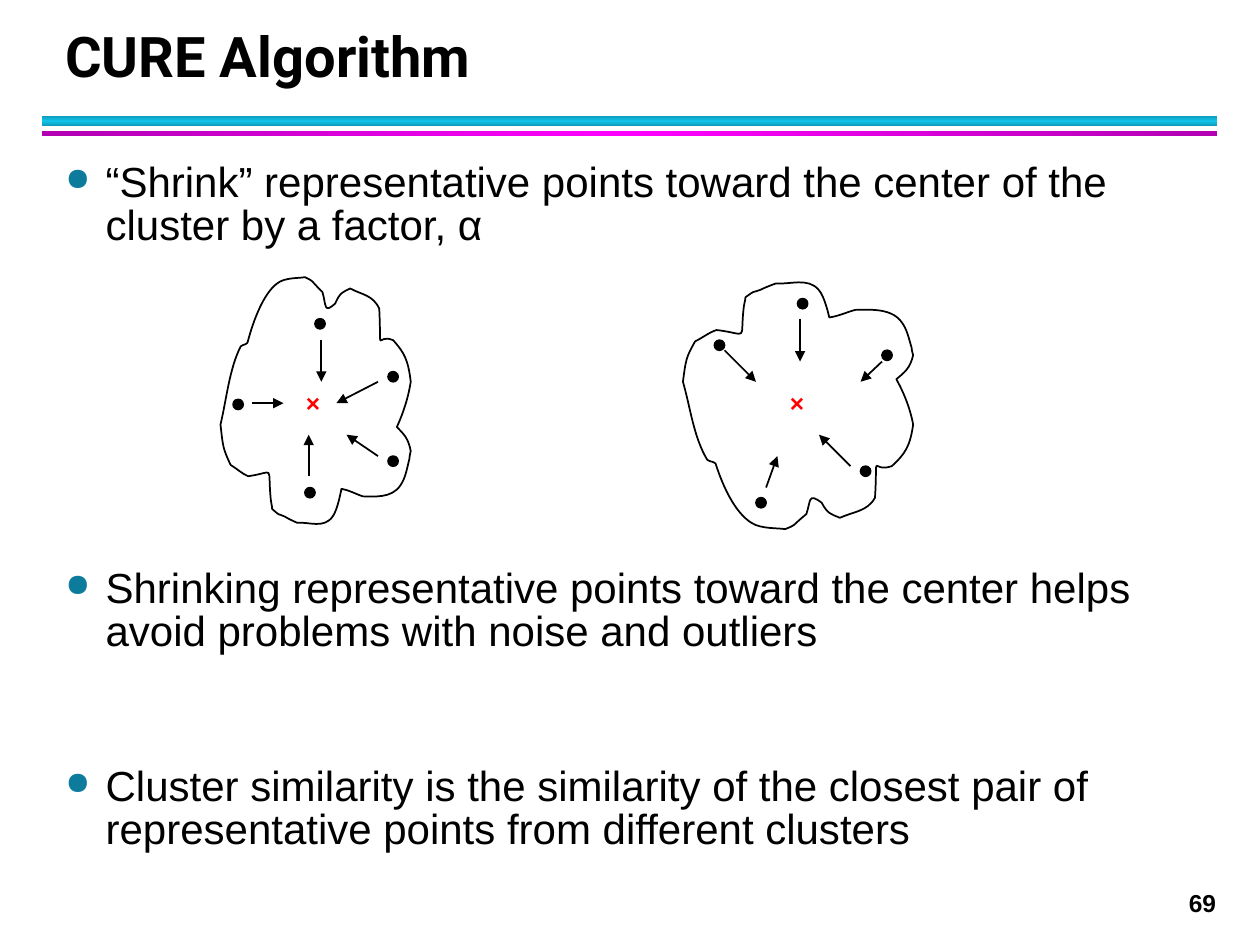
from copy import deepcopy

from lxml import etree
from pptx import Presentation
from pptx import util as u
from pptx.dml.color import RGBColor
from pptx.enum import shapes, text
from pptx.oxml.ns import qn

THEME = {
    "ink": "000000", "center": "FF0000", "bullet": "0C7B9C",
    "cyan": ("0E9BBA", "12C2E9"), "magenta": ("B200B2", "FF00FF"),
    "heading": "Roboto", "body": "Arial",
    "title_size": 32, "body_size": 24, "small_size": 14, "line": 1,
}

TITLE = "CURE Algorithm"
PAGE = "69"
POINTS = [
    ("“Shrink” representative points toward the center of the cluster by a factor, α", 0),
    ("Shrinking representative points toward the center helps avoid problems with noise and outliers", 179),
    ("Cluster similarity is the similarity of the closest pair of representative points from different clusters", 60),
]
RULES = [(0.92, 0.08, "cyan", 90), (1.04, 0.04, "magenta", 0)]

OUTLINE_START = (1.91, 2.75)
OUTLINE_CURVES = [
    (1.82, 2.93, 1.8, 3.16, 1.75, 3.37), (1.77, 3.55, 1.77, 3.56, 1.83, 3.69),
    (1.88, 3.72, 1.92, 3.76, 1.97, 3.78), (2.19, 3.75, 2.12, 3.68, 2.15, 3.97),
    (2.15, 3.99, 2.16, 4.01, 2.16, 4.04), (2.23, 4.1, 2.19, 4.07, 2.26, 4.1),
    (2.29, 4.12, 2.36, 4.15, 2.36, 4.15), (2.45, 4.14, 2.57, 4.2, 2.64, 4.1),
    (2.68, 4.05, 2.71, 3.88, 2.71, 3.88), (2.77, 3.89, 2.82, 3.92, 2.88, 3.94),
    (2.96, 3.94, 3.11, 3.96, 3.18, 3.85), (3.22, 3.79, 3.23, 3.72, 3.25, 3.64),
    (3.25, 3.62, 3.26, 3.58, 3.26, 3.58), (3.24, 3.48, 3.21, 3.45, 3.15, 3.39),
    (3.2, 3.28, 3.24, 3.16, 3.26, 3.03), (3.24, 2.86, 3.21, 2.8, 3.12, 2.7),
    (2.98, 2.64, 3.03, 2.85, 3.01, 2.45), (2.96, 2.34, 2.87, 2.34, 2.78, 2.29),
    (2.72, 2.32, 2.7, 2.32, 2.66, 2.41), (2.57, 2.49, 2.59, 2.43, 2.56, 2.32),
    (2.45, 2.21, 2.5, 2.24, 2.42, 2.2), (2.38, 2.21, 2.26, 2.2, 2.2, 2.25),
    (2.09, 2.33, 2.01, 2.55, 1.97, 2.7), (1.97, 2.74, 1.93, 2.73, 1.91, 2.75),
]
CLUSTERS = [
    {
        "place": lambda x, y: (x, y),
        "center": (2.33, 3.03),
        "representatives": [(2.42, 3.87), (2.5, 2.53), (1.85, 3.17), (3.08, 2.95), (3.08, 3.62)],
        "moves": [(2.55, 2.7, 2.55, 3.03), (3, 3.03, 2.67, 3.2), (3, 3.62, 2.75, 3.45),
                  (2.45, 3.78, 2.45, 3.45), (2, 3.2, 2.25, 3.2)],
    },
    {
        "place": lambda x, y: (5.42 + (x - 1.75) * 1.21, 6.4 - y),
        "center": (6.17, 3.03),
        "representatives": [(7, 2.78), (5.67, 2.7), (6, 3.95), (6.33, 2.37), (6.83, 3.7)],
        "moves": [(6.35, 2.53, 6.35, 2.87), (5.75, 2.78, 6, 3.03), (7, 2.87, 6.83, 3.03),
                  (6.75, 3.7, 6.5, 3.45), (6.08, 3.87, 6.17, 3.62)],
    },
]
DOT = 0.08


def inches(*values):
    return [u.Cm(value * 2.54) for value in values]


def color(name):
    return RGBColor.from_string(THEME.get(name, name))


def outline_style(shape):
    shape.line.color.rgb = color("ink")
    shape.line.width = u.Pt(THEME["line"])


def add_bullet(paragraph):
    properties = paragraph._p.get_or_add_pPr()
    indent = inches(0.32)[0]
    properties.set("marL", str(indent))
    properties.set("indent", str(-indent))
    tint = etree.SubElement(properties, qn("a:buClr"))
    etree.SubElement(tint, qn("a:srgbClr")).set("val", THEME["bullet"])
    etree.SubElement(properties, qn("a:buSzPct")).set("val", "75000")
    etree.SubElement(properties, qn("a:buChar")).set("char", "●")


def write(slide, content, box, size, font="body", tint="ink", bold=False, align="LEFT",
          anchor="TOP", spacing=None, after=0, bullets=False):
    frame = slide.shapes.add_textbox(*inches(*box)).text_frame
    frame.word_wrap = True
    frame.vertical_anchor = text.MSO_ANCHOR[anchor]
    for index, (line, before) in enumerate(content):
        paragraph = frame.add_paragraph() if index else frame.paragraphs[0]
        paragraph.text = line
        if bullets:
            add_bullet(paragraph)
        paragraph.alignment = text.PP_ALIGN[align]
        paragraph.line_spacing = spacing
        paragraph.space_before = u.Pt(before)
        paragraph.space_after = u.Pt(after)
        paragraph.font.name = THEME[font]
        paragraph.font.size = u.Pt(THEME[size])
        paragraph.font.bold = bold
        paragraph.font.color.rgb = color(tint)


def add_rule(slide, top, height, tones, angle):
    rule = slide.shapes.add_shape(shapes.MSO_SHAPE.RECTANGLE, *inches(0.33, top, 9.33, height))
    rule.shadow.inherit = False
    rule.line.fill.background()
    rule.fill.gradient()
    rule.fill.gradient_angle = angle
    last = rule.fill._fill.gradient_stops[1]._gs
    last.addnext(deepcopy(last))
    edge, middle = THEME[tones]
    for stop, tone, position in zip(rule.fill.gradient_stops, (edge, middle, edge), (0, 0.5, 1)):
        stop.color.rgb = color(tone)
        stop.position = position


def add_outline(slide, place):
    corners = [inches(*place(*curve[i:i + 2])) for curve in OUTLINE_CURVES for i in (0, 2, 4)]
    builder = slide.shapes.build_freeform(*inches(*place(*OUTLINE_START)))
    builder.add_line_segments(corners, close=True)
    outline = builder.convert_to_shape()
    outline.shadow.inherit = False
    outline.fill.background()
    outline_style(outline)
    segments = outline._element.xpath(".//a:lnTo")
    for first in range(0, len(segments), 3):
        curve = etree.Element(qn("a:cubicBezTo"))
        segments[first].addprevious(curve)
        for segment in segments[first:first + 3]:
            curve.append(segment[0])
            segment.getparent().remove(segment)


def add_representative(slide, left, top):
    dot = slide.shapes.add_shape(shapes.MSO_SHAPE.OVAL, *inches(left, top, DOT, DOT))
    dot.shadow.inherit = False
    dot.fill.solid()
    dot.fill.fore_color.rgb = color("ink")
    outline_style(dot)


def add_move(slide, ends):
    move = slide.shapes.add_connector(shapes.MSO_CONNECTOR.STRAIGHT, *inches(*ends))
    outline_style(move)
    etree.SubElement(move.line._get_or_add_ln(), qn("a:tailEnd")).set("type", "triangle")
    etree.SubElement(move._element.spPr, qn("a:effectLst"))


def main():
    deck = Presentation()
    deck.slide_width, deck.slide_height = inches(10, 7.5)
    slide = deck.slides.add_slide(deck.slide_layouts[6])
    for rule in RULES:
        add_rule(slide, *rule)
    write(slide, [(PAGE, 0)], (0.42, 7, 9.33, 0.34), "small_size", bold=True, align="RIGHT")
    write(slide, POINTS, (0.42, 1.25, 9.1, 5.67), "body_size", spacing=0.85, after=4, bullets=True)
    write(slide, [(TITLE, 0)], (0.42, 0.17, 9.06, 0.58), "title_size", font="heading",
          bold=True, anchor="BOTTOM", spacing=u.Pt(36))
    for cluster in CLUSTERS:
        add_outline(slide, cluster["place"])
        for representative in cluster["representatives"]:
            add_representative(slide, *representative)
        for move in cluster["moves"]:
            add_move(slide, move)
        write(slide, [("×", 0)], (*cluster["center"], 0.25, 0.33), "small_size",
              tint="center", bold=True)
    deck.save("out.pptx")


if __name__ == "__main__":
    main()
